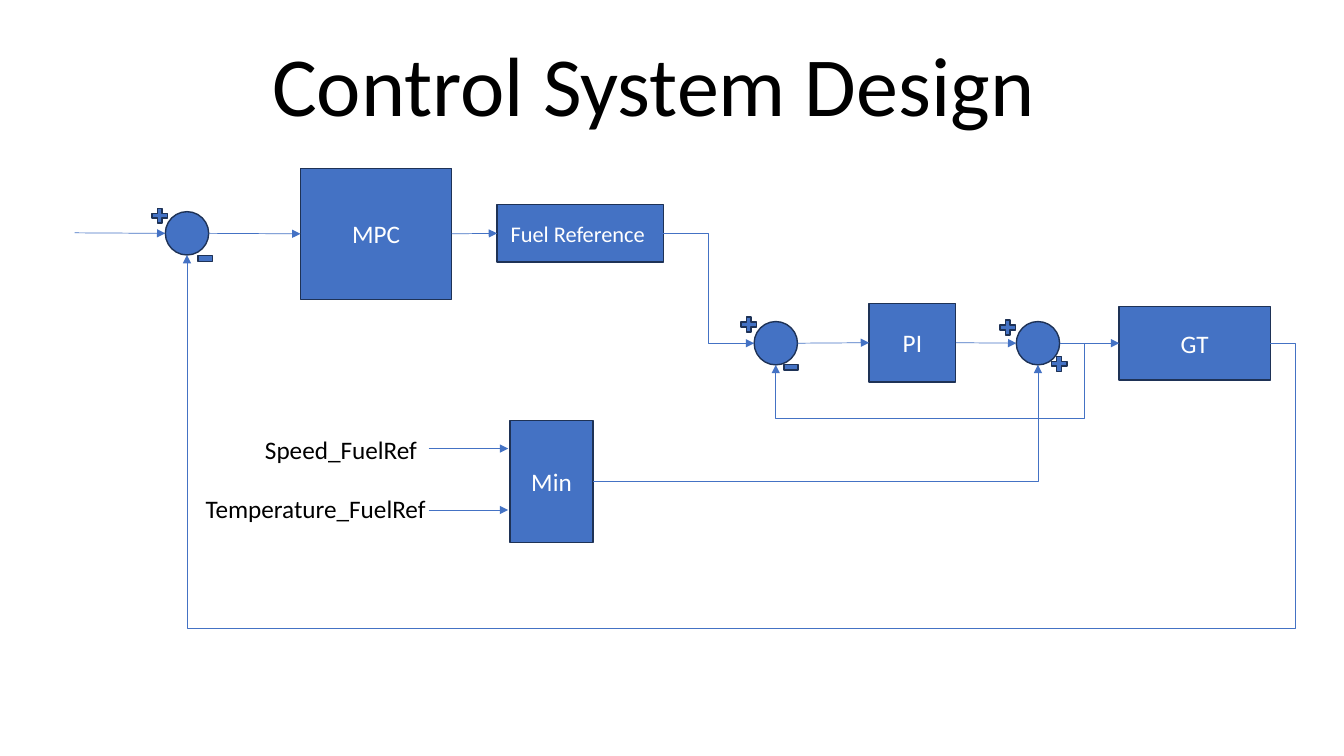
from lxml.etree import SubElement
from pptx import Presentation
from pptx.dml.color import RGBColor
from pptx.enum.shapes import MSO_CONNECTOR as Conn, MSO_SHAPE as Geo
from pptx.enum.text import MSO_ANCHOR as Anchor, PP_ALIGN as Align
from pptx.oxml.ns import qn
from pptx.util import Inches, Pt

BLUE = RGBColor(0x44, 0x72, 0xC4)
NAVY = RGBColor(0x1E, 0x32, 0x56)
WHITE = RGBColor(0xFF, 0xFF, 0xFF)
BLACK = RGBColor(0, 0, 0)
FONT = "Calibri"
TOP, LEFT, BOTTOM, RIGHT = range(4)


def write(frame, text, size, color, align):
    par = frame.paragraphs[0]
    par.alignment = align
    run = par.add_run()
    run.text = text
    run.font.size = Pt(size)
    run.font.name = FONT
    run.font.color.rgb = color
    return par


def solid(slide, geo, *box):
    shape = slide.shapes.add_shape(geo, *map(Inches, box))
    shape.shadow.inherit = False
    shape.fill.solid()
    shape.fill.fore_color.rgb = BLUE
    shape.line.color.rgb = NAVY
    shape.line.width = Pt(1)
    return shape


def block(slide, text, size, *box):
    shape = solid(slide, Geo.RECTANGLE, *box)
    shape.text_frame.word_wrap = True
    shape.text_frame.vertical_anchor = Anchor.MIDDLE
    write(shape.text_frame, text, size, WHITE, Align.CENTER)
    return shape


def node(slide, x, y):
    return solid(slide, Geo.OVAL, x, y, 0.43, 0.43)


def plus(slide, x, y):
    solid(slide, Geo.MATH_PLUS, x, y, 0.21, 0.2)


def minus(slide, x, y):
    solid(slide, Geo.MATH_MINUS, x, y, 0.19, 0.23)


def label(slide, text, size, *box, align=Align.LEFT, anchor=Anchor.TOP):
    frame = slide.shapes.add_textbox(*map(Inches, box)).text_frame
    frame.word_wrap = True
    frame.vertical_anchor = anchor
    return write(frame, text, size, BLACK, align)


def port(end):
    shape, side = end
    if not hasattr(shape, "left"):
        return Inches(shape), Inches(side)
    fx, fy = ((0.5, 0), (0, 0.5), (0.5, 1), (1, 0.5))[side]
    return (int(shape.left + shape.width * fx),
            int(shape.top + shape.height * fy))


def join(line, end, tag, connect):
    shape, side = end
    if not hasattr(shape, "left"):
        return
    if shape.auto_shape_type == Geo.RECTANGLE:
        connect(shape, side)
    else:
        props = line.element.find(".//" + qn("p:cNvCxnSpPr"))
        SubElement(props, qn(tag), id=str(shape.shape_id), idx=str(side * 2))


def link(slide, start, end, kind=None, via=None):
    (x1, y1), (x2, y2) = port(start), port(end)
    style = Conn.ELBOW if kind else Conn.STRAIGHT
    line = slide.shapes.add_connector(style, x1, y1, x2, y2)
    join(line, start, "a:stCxn", line.begin_connect)
    join(line, end, "a:endCxn", line.end_connect)
    line.line.color.rgb = BLUE
    line.line.width = Pt(0.5)
    SubElement(line.line._get_or_add_ln(), qn("a:tailEnd"), type="triangle")
    props = line.element.spPr
    SubElement(props, qn("a:effectLst"))
    if kind:
        geom = props.find(qn("a:prstGeom"))
        geom.set("prst", kind)
    if via:
        parts = ((Inches(via[0]) - x1) / (x2 - x1),
                 (Inches(via[1]) - y1) / (y2 - y1))
        for num, part in enumerate(parts, 1):
            SubElement(geom.find(qn("a:avLst")), qn("a:gd"),
                       name=f"adj{num}", fmla=f"val {round(part * 100000)}")


def main():
    deck = Presentation()
    deck.slide_width, deck.slide_height = Inches(13.33), Inches(7.5)
    slide = deck.slides.add_slide(deck.slide_layouts[6])

    mpc = block(slide, "MPC", 18, 2.98, 1.67, 1.5, 1.3)
    low = block(slide, "Min", 18, 5.06, 4.17, 0.82, 1.21)
    fuel = block(slide, "Fuel Reference ", 16, 4.93, 2.03, 1.65, 0.57)
    pi = block(slide, "PI", 18, 8.62, 3.01, 0.86, 0.78)
    gt = block(slide, "GT", 18, 11.1, 3.04, 1.5, 0.73)

    first = node(slide, 1.64, 2.1)
    mid = node(slide, 7.48, 3.19)
    last = node(slide, 10.08, 3.19)
    for x, y in ((1.48, 2.04), (7.32, 3.12), (9.89, 3.15), (10.4, 3.51)):
        plus(slide, x, y)
    for x, y in ((1.94, 2.45), (7.75, 3.53)):
        minus(slide, x, y)

    link(slide, (fuel, RIGHT), (mid, LEFT), "bentConnector3")
    link(slide, (low, RIGHT), (last, BOTTOM), "bentConnector2")
    link(slide, (gt, RIGHT), (first, BOTTOM), "bentConnector4", (12.85, 6.23))
    link(slide, (last, RIGHT), (mid, BOTTOM), "bentConnector4", (10.76, 4.15))
    link(slide, (0.74, 2.31), (first, LEFT))
    for a, b in ((first, mpc), (mpc, fuel), (mid, pi), (pi, last), (last, gt)):
        link(slide, (a, RIGHT), (b, LEFT))
    for y in (4.45, 5.06):
        link(slide, (4.25, y), (5.04, y))

    label(slide, "Speed_FuelRef", 18, 2.53, 4.26, 1.77, 0.4)
    label(slide, "Temperature_FuelRef", 18, 1.94, 4.84, 2.46, 0.4)
    title = label(slide, "Control System Design", 60, 1.48, 0.38, 10, 1.01,
                  align=Align.CENTER, anchor=Anchor.BOTTOM)
    title.line_spacing = 0.9
    deck.save("out.pptx")


if __name__ == "__main__":
    main()
